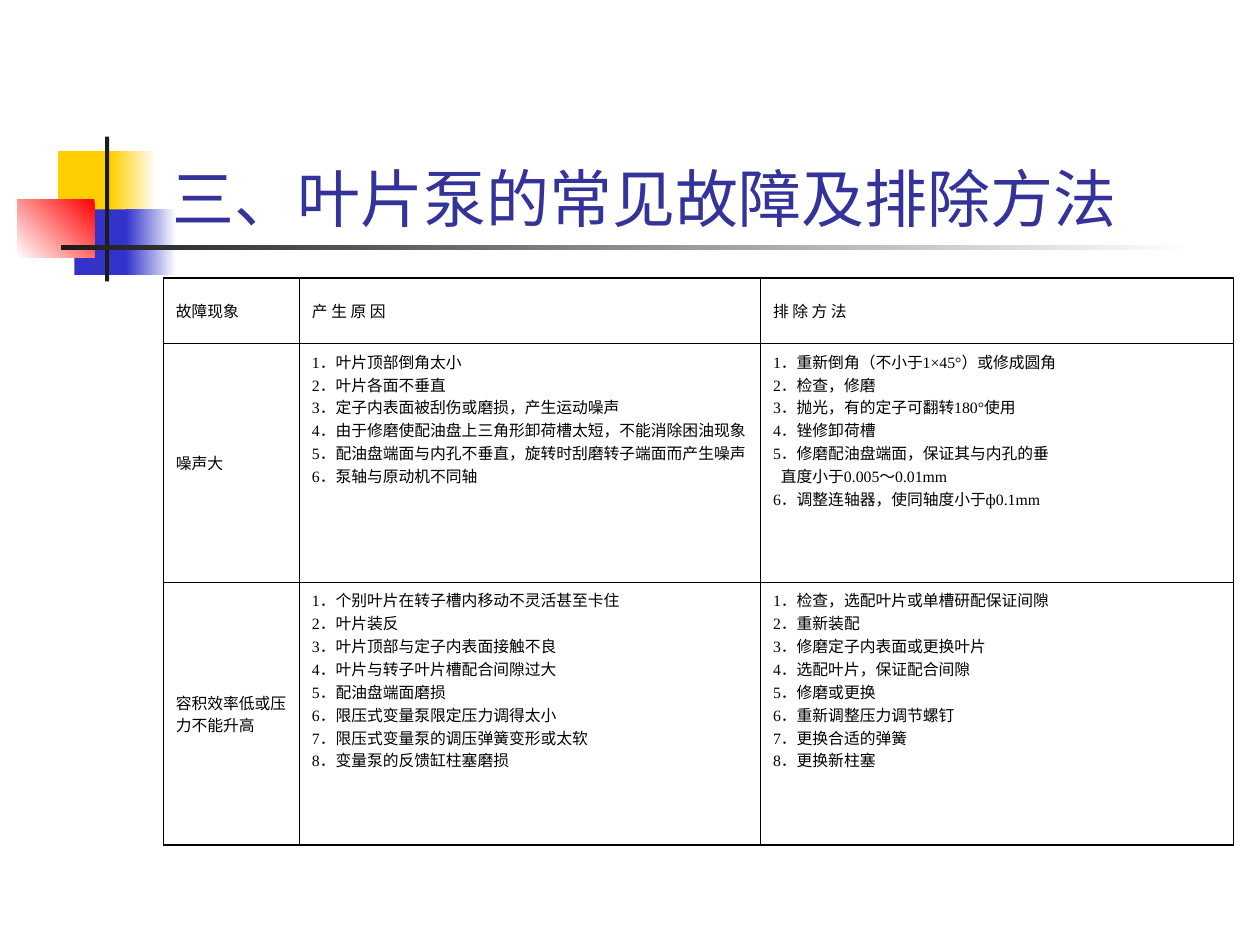
from typing import NamedTuple

from lxml.etree import SubElement
from pptx import Presentation
from pptx.dml.color import RGBColor
from pptx.enum.shapes import MSO_SHAPE
from pptx.enum.text import MSO_ANCHOR, MSO_AUTO_SIZE, PP_ALIGN
from pptx.oxml.ns import qn
from pptx.util import Pt

WHITE = RGBColor(0xFF, 0xFF, 0xFF)
BLACK = RGBColor(0x00, 0x00, 0x00)
YELLOW = RGBColor(0xFF, 0xCF, 0x01)
BLUE = RGBColor(0x33, 0x33, 0xCC)
RED = RGBColor(0xFF, 0x00, 0x00)
CHARCOAL = RGBColor(0x1C, 0x1C, 0x1C)
TITLE_BLUE = RGBColor(0x33, 0x33, 0x99)

TITLE_FONT = "Karla"
TABLE_FONT = "Times New Roman"
COLUMN_WIDTHS = (77.8, 263.5, 270)
ROW_HEIGHTS = (37.4, 136.4, 150.2)
TOP_BOTTOM_LINE, SIDE_LINE, INNER_LINE = 0.96, 0.34, 0.45
CONTINUATION_INDENT = 4.5


class Block(NamedTuple):
    """A rectangle; with an end colour it is a gradient at the given angle."""
    left: float
    top: float
    width: float
    height: float
    color: RGBColor
    end_color: RGBColor | None = None
    angle: float = 180


class Fault(NamedTuple):
    symptom: str
    causes: tuple[str, ...]
    remedies: tuple[str, ...]


BLOCKS = (
    Block(33.1, 86.4, 34.6, 37.4, YELLOW),
    Block(63.4, 86.4, 25.9, 37.4, WHITE, YELLOW),
    Block(42.5, 119.7, 33.1, 37.4, BLUE),
    Block(72, 119.7, 28.8, 37.4, WHITE, BLUE),
    Block(9.8, 113.8, 44.2, 33.4, RED, WHITE, 225),
    Block(60, 78, 2.4, 82.8, CHARCOAL),
    Block(34.8, 140.2, 648, 2.4, WHITE, CHARCOAL),
)

HEADINGS = ("故障现象", "产 生 原 因", "排 除 方 法")

# A line break inside an item starts an indented continuation line.
FAULTS = (
    Fault(
        "噪声大",
        (
            "叶片顶部倒角太小",
            "叶片各面不垂直",
            "定子内表面被刮伤或磨损，产生运动噪声",
            "由于修磨使配油盘上三角形卸荷槽太短，不能消除困油现象",
            "配油盘端面与内孔不垂直，旋转时刮磨转子端面而产生噪声",
            "泵轴与原动机不同轴",
        ),
        (
            "重新倒角（不小于1×45°）或修成圆角",
            "检查，修磨",
            "抛光，有的定子可翻转180°使用",
            "锉修卸荷槽",
            "修磨配油盘端面，保证其与内孔的垂\n直度小于0.005～0.01mm",
            "调整连轴器，使同轴度小于ф0.1mm",
        ),
    ),
    Fault(
        "容积效率低或压力不能升高",
        (
            "个别叶片在转子槽内移动不灵活甚至卡住",
            "叶片装反",
            "叶片顶部与定子内表面接触不良",
            "叶片与转子叶片槽配合间隙过大",
            "配油盘端面磨损",
            "限压式变量泵限定压力调得太小",
            "限压式变量泵的调压弹簧变形或太软",
            "变量泵的反馈缸柱塞磨损",
        ),
        (
            "检查，选配叶片或单槽研配保证间隙",
            "重新装配",
            "修磨定子内表面或更换叶片",
            "选配叶片，保证配合间隙",
            "修磨或更换",
            "重新调整压力调节螺钉",
            "更换合适的弹簧",
            "更换新柱塞",
        ),
    ),
)


def add_block(slide, block: Block) -> None:
    shape = slide.shapes.add_shape(
        MSO_SHAPE.RECTANGLE,
        Pt(block.left), Pt(block.top), Pt(block.width), Pt(block.height))
    shape.shadow.inherit = False
    shape.line.fill.background()
    if block.end_color is None:
        shape.fill.solid()
        shape.fill.fore_color.rgb = block.color
        return
    shape.fill.gradient()
    shape.fill.gradient_angle = block.angle
    colors = (block.color, block.end_color)
    for position, (stop, color) in enumerate(zip(shape.fill.gradient_stops, colors)):
        stop.position = position
        stop.color.rgb = color


def fill_title(slide, text: str) -> None:
    title = slide.shapes.title
    title.left, title.top, title.width, title.height = Pt(90.7), Pt(48.2), Pt(613.4), Pt(90)
    frame = title.text_frame
    frame.text = text
    frame.auto_size = MSO_AUTO_SIZE.NONE
    frame.vertical_anchor = MSO_ANCHOR.BOTTOM
    paragraph = frame.paragraphs[0]
    paragraph.alignment = PP_ALIGN.LEFT
    paragraph.font.name = TITLE_FONT
    paragraph.font.size = Pt(36)
    paragraph.font.color.rgb = TITLE_BLUE


def set_borders(cell, widths: dict[str, float]) -> None:
    properties = cell._tc.get_or_add_tcPr()
    for side, width in widths.items():
        line = SubElement(properties, qn(f"a:ln{side}"), w=str(Pt(width)))
        fill = SubElement(line, qn("a:solidFill"))
        SubElement(fill, qn("a:srgbClr"), val=str(BLACK))


def fill_cell(cell, lines: list[str], anchor: MSO_ANCHOR) -> None:
    cell.vertical_anchor = anchor
    cell.fill.background()
    frame = cell.text_frame
    for index, line in enumerate(lines):
        paragraph = frame.paragraphs[0] if index == 0 else frame.add_paragraph()
        first, *continuation = line.split("\n")
        paragraph.text = first
        paragraphs = [paragraph]
        for text in continuation:
            paragraph = frame.add_paragraph()
            paragraph.text = text
            paragraph._p.get_or_add_pPr().set("marL", str(Pt(CONTINUATION_INDENT)))
            paragraphs.append(paragraph)
        for paragraph in paragraphs:
            paragraph.font.name = TABLE_FONT
            paragraph.font.size = Pt(9)
            paragraph.font.color.rgb = BLACK


def numbered(items: tuple[str, ...]) -> list[str]:
    return [f"{number}．{item}" for number, item in enumerate(items, 1)]


def add_fault_table(slide) -> None:
    rows = [[[heading] for heading in HEADINGS]]
    rows += [[[fault.symptom], numbered(fault.causes), numbered(fault.remedies)]
             for fault in FAULTS]
    last_row, last_column = len(rows) - 1, len(HEADINGS) - 1
    table = slide.shapes.add_table(
        len(rows), len(HEADINGS), Pt(93.3), Pt(159),
        Pt(sum(COLUMN_WIDTHS)), Pt(sum(ROW_HEIGHTS))).table
    table.first_row = table.horz_banding = False
    for column, width in zip(table.columns, COLUMN_WIDTHS):
        column.width = Pt(width)
    for row, height in zip(table.rows, ROW_HEIGHTS):
        row.height = Pt(height)
    for r, row in enumerate(rows):
        for c, lines in enumerate(row):
            cell = table.cell(r, c)
            set_borders(cell, {
                "L": SIDE_LINE if c == 0 else INNER_LINE,
                "R": SIDE_LINE if c == last_column else INNER_LINE,
                "T": TOP_BOTTOM_LINE if r == 0 else INNER_LINE,
                "B": TOP_BOTTOM_LINE if r == last_row else INNER_LINE,
            })
            is_label = r == 0 or c == 0
            fill_cell(cell, lines, MSO_ANCHOR.MIDDLE if is_label else MSO_ANCHOR.TOP)


def main() -> None:
    presentation = Presentation()
    presentation.slide_width, presentation.slide_height = Pt(720), Pt(540)
    slide = presentation.slides.add_slide(presentation.slide_layouts.get_by_name("Title Only"))
    for block in BLOCKS:
        add_block(slide, block)
    fill_title(slide, "三、叶片泵的常见故障及排除方法")
    add_fault_table(slide)
    presentation.save("out.pptx")


if __name__ == "__main__":
    main()
